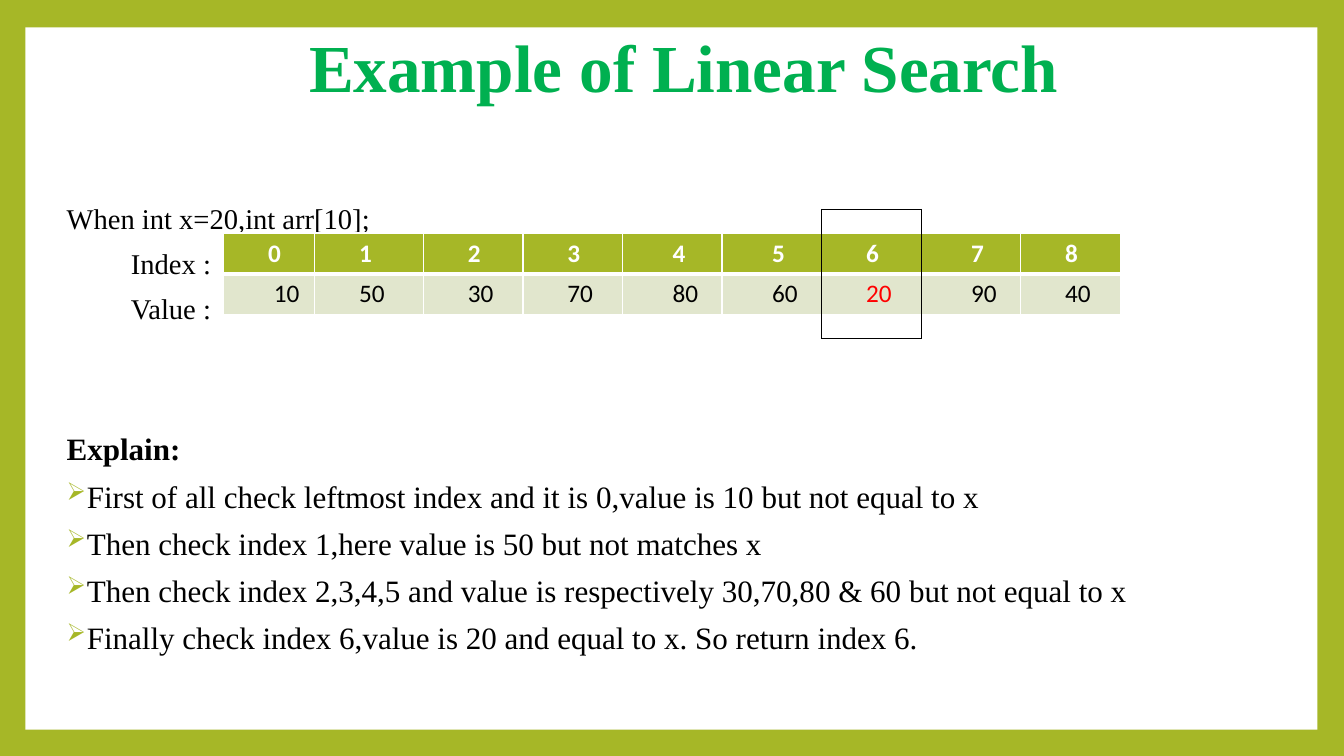
from typing import NamedTuple, Optional

from lxml import etree
from pptx import Presentation
from pptx.dml.color import RGBColor
from pptx.enum import shapes, text
from pptx.oxml import ns
from pptx.util import Cm, Pt

LIME = RGBColor(0xA6, 0xB7, 0x27)
PALE_LIME = RGBColor(0xE1, 0xE6, 0xCD)
GREEN = RGBColor(0x00, 0xB0, 0x50)
RED = RGBColor(0xFF, 0x00, 0x00)
WHITE = RGBColor(0xFF, 0xFF, 0xFF)
BLACK = RGBColor(0x00, 0x00, 0x00)
SERIF, SANS = "Times New Roman", "Calibri"
FOUND_INDEX = 6


class Line(NamedTuple):
    words: str
    size: float
    bold: bool = False
    color: RGBColor = BLACK
    indent: float = 0
    bullet: Optional[str] = None


class Element(NamedTuple):
    value: int
    width: float = 2.51
    index_inset: float = 1.12
    value_inset: float = 1.12


def add_run(paragraph, words: str, font: str, size: float, color: RGBColor, bold: bool) -> None:
    run = paragraph.add_run()
    run.text = words
    run.font.name, run.font.size, run.font.bold = font, Pt(size), bold
    run.font.color.rgb = color


def add_bullet(paragraph, char: str, hang: float) -> None:
    properties = paragraph._p.get_or_add_pPr()
    properties.set("marL", str(Cm(hang)))
    properties.set("indent", str(-Cm(hang)))
    color = etree.SubElement(properties, ns.qn("a:buClr"))
    etree.SubElement(color, ns.qn("a:srgbClr"), val=str(LIME))
    etree.SubElement(properties, ns.qn("a:buSzPct"), val="80000")
    etree.SubElement(properties, ns.qn("a:buChar"), char=char)


def add_lines(slide, left: float, top: float, width: float, height: float, lines: list[Line],
              spacing: float = 0.7, align=text.PP_ALIGN.LEFT, anchor=text.MSO_ANCHOR.TOP) -> None:
    frame = slide.shapes.add_textbox(Cm(left), Cm(top), Cm(width), Cm(height)).text_frame
    frame.word_wrap, frame.vertical_anchor = True, anchor
    frame.margin_left = frame.margin_right = frame.margin_top = frame.margin_bottom = 0
    for number, line in enumerate(lines):
        paragraph = frame.add_paragraph() if number else frame.paragraphs[0]
        paragraph.alignment, paragraph.line_spacing = align, spacing
        paragraph.space_before = Pt(15 if number else 0)
        if line.bullet:
            add_bullet(paragraph, line.bullet, line.indent)
        elif line.indent:
            paragraph._p.get_or_add_pPr().set("marL", str(Cm(line.indent)))
        add_run(paragraph, line.words, SERIF, line.size, line.color, line.bold)


def add_grid(slide, left: float, top: float, widths: list[float], heights: list[float]):
    grid = slide.shapes.add_table(len(heights), len(widths), Cm(left), Cm(top),
                                  Cm(sum(widths)), Cm(sum(heights))).table
    grid.first_row = grid.horz_banding = False
    for column, width in zip(grid.columns, widths):
        column.width = Cm(width)
    for row, height in zip(grid.rows, heights):
        row.height = Cm(height)
    return grid


def set_borders(cell, color: RGBColor, top: float = 1, bottom: float = 1) -> None:
    properties = cell._tc.get_or_add_tcPr()
    sides = {"lnL": 1, "lnR": 1, "lnT": top, "lnB": bottom}
    for place, (side, points) in enumerate(sides.items()):
        border = etree.Element(ns.qn(f"a:{side}"), w=str(Pt(points)))
        fill = etree.SubElement(border, ns.qn("a:solidFill"))
        etree.SubElement(fill, ns.qn("a:srgbClr"), val=str(color))
        properties.insert(place, border)


def fill_cell(cell, words: str, inset: float, fill: RGBColor, color: RGBColor, bold: bool) -> None:
    cell.margin_left = Cm(inset)
    cell.margin_right = 0
    cell.fill.solid()
    cell.fill.fore_color.rgb = fill
    add_run(cell.text_frame.paragraphs[0], words, SANS, 18, color, bold)


presentation = Presentation()
presentation.slide_width, presentation.slide_height = Cm(33.87), Cm(19.05)
slide = presentation.slides.add_slide(presentation.slide_layouts[6])

# Lime frame around a white panel
slide.background.fill.solid()
slide.background.fill.fore_color.rgb = LIME
panel = slide.shapes.add_shape(shapes.MSO_SHAPE.RECTANGLE, Cm(0.64), Cm(0.69), Cm(32.56), Cm(17.7))
panel.shadow.inherit = False
panel.fill.solid()
panel.fill.fore_color.rgb = WHITE
panel.line.fill.background()

# Title
add_lines(slide, 4.98, 0.43, 24.51, 2.69, [Line("Example of Linear Search", 48, True, GREEN)],
          0.9, text.PP_ALIGN.CENTER, text.MSO_ANCHOR.MIDDLE)

# Problem and row labels
add_lines(slide, 1.68, 5.3, 30, 2.8, [
    Line("When int x=20,int arr[10];", 20.4),
    Line("Index :", 20.4, indent=1.62),
    Line("Value :", 20.4, indent=1.62),
])

# Explanation
steps = [
    "First of all check leftmost index and it is 0,value is 10 but not equal to x",
    "Then check index 1,here value is 50 but not matches x",
    "Then check index 2,3,4,5 and value is respectively 30,70,80 & 60 but not equal to x",
    "Finally check index 6,value is 20 and equal to x. So return index 6.",
]
add_lines(slide, 1.68, 11.09, 30, 5.6, [Line("Explain:", 22.2, True)]
          + [Line(step, 22.2, indent=0.51, bullet="\u27a2") for step in steps])

# Array of indexes and values
elements = [
    Element(10, width=2.29, value_inset=1.26), Element(50, width=2.74), Element(30), Element(70),
    Element(80, index_inset=1.26, value_inset=1.26), Element(60, index_inset=1.26, value_inset=1.26),
    Element(20), Element(90, index_inset=1.26, value_inset=1.26), Element(40),
]
array_left, array_top, row_height = 5.64, 5.87, 1.03
widths = [element.width for element in elements]
array = add_grid(slide, array_left, array_top, widths, [row_height] * 2)
for index, element in enumerate(elements):
    index_cell, value_cell = array.cell(0, index), array.cell(1, index)
    fill_cell(index_cell, str(index), element.index_inset, LIME, WHITE, True)
    fill_cell(value_cell, str(element.value), element.value_inset, PALE_LIME,
              RED if index == FOUND_INDEX else BLACK, False)
    set_borders(index_cell, WHITE, bottom=3)
    set_borders(value_cell, WHITE, top=3)

# Outline around the found element
overhang = 0.59
found_left = array_left + sum(widths[:FOUND_INDEX])
found = add_grid(slide, found_left, array_top - overhang, [widths[FOUND_INDEX]],
                 [2 * (row_height + overhang)]).cell(0, 0)
found.fill.background()
set_borders(found, BLACK)

presentation.save("out.pptx")
